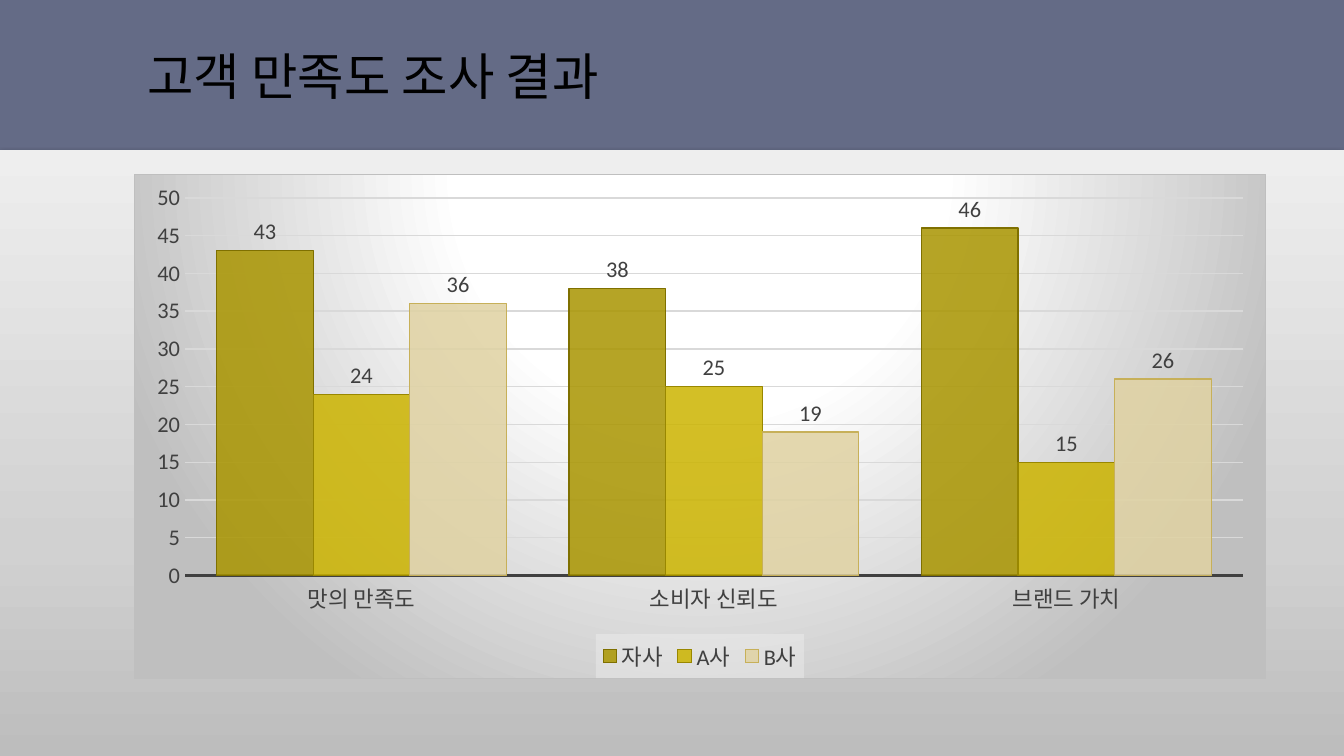
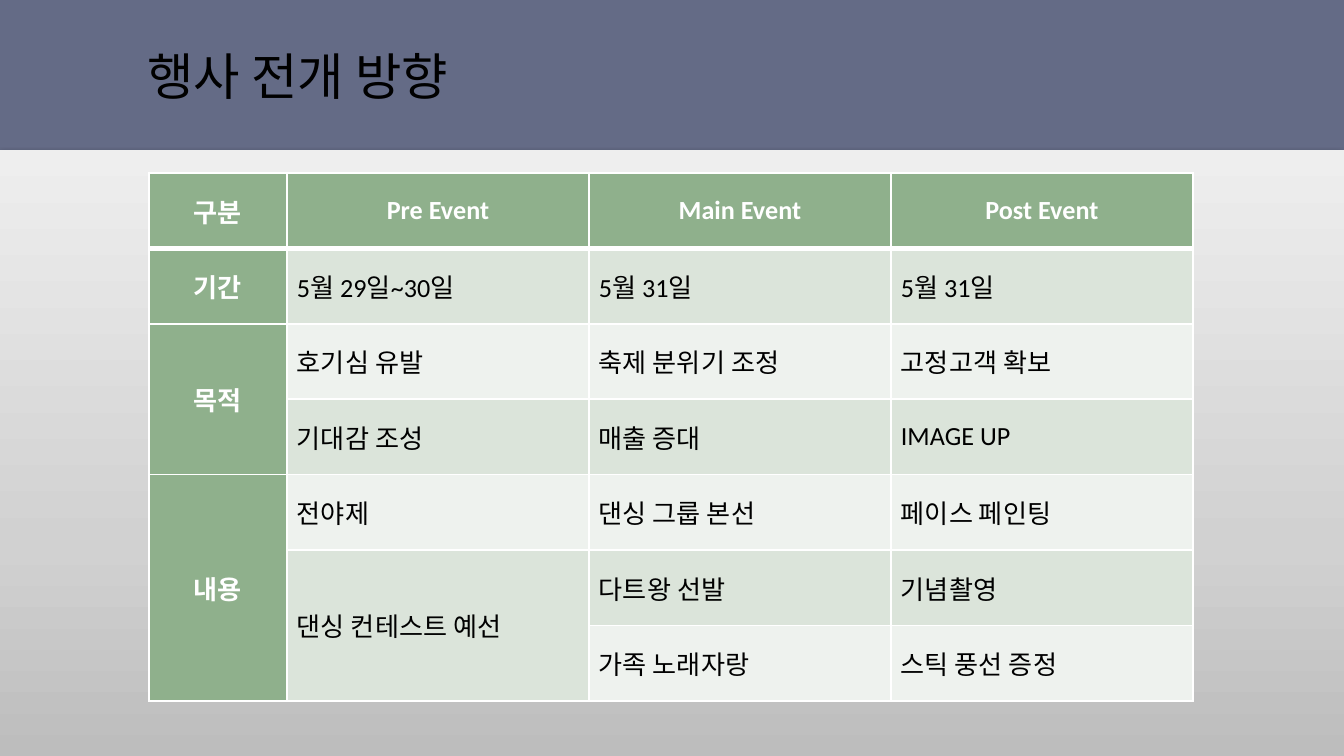
from lxml import etree
from pptx import Presentation
from pptx.chart.data import CategoryChartData
from pptx.dml.color import RGBColor
from pptx.enum.chart import XL_CHART_TYPE, XL_LABEL_POSITION, XL_LEGEND_POSITION, XL_TICK_MARK
from pptx.enum.shapes import MSO_SHAPE
from pptx.enum.text import MSO_ANCHOR, PP_ALIGN
from pptx.oxml import parse_xml
from pptx.oxml.ns import nsdecls, qn
from pptx.util import Pt

COLUMNS = XL_CHART_TYPE.COLUMN_CLUSTERED
OUTSIDE_END = XL_LABEL_POSITION.OUTSIDE_END
LEGEND_BOTTOM = XL_LEGEND_POSITION.BOTTOM
NO_TICK = XL_TICK_MARK.NONE
RECTANGLE = MSO_SHAPE.RECTANGLE
MIDDLE = MSO_ANCHOR.MIDDLE
LEFT, CENTER = PP_ALIGN.LEFT, PP_ALIGN.CENTER

EMU_PER_PX = 914400 / 134.4
SLIDE_WIDTH, SLIDE_HEIGHT = 1344, 756
BAND_HEIGHT = 150
BODY_FONT, TITLE_FONT = "Calibri", "Noto Sans CJK KR"

SLATE = RGBColor(0x64, 0x6B, 0x86)
BLACK = RGBColor(0, 0, 0)
WHITE = RGBColor(0xFF, 0xFF, 0xFF)
CHARCOAL = RGBColor(0x40, 0x40, 0x40)
GRID_GRAY = RGBColor(0xD9, 0xD9, 0xD9)
EDGE_GRAY = RGBColor(0xBF, 0xBF, 0xBF)
LEGEND_GRAY = RGBColor(0xF2, 0xF2, 0xF2)
PANEL_DARK = RGBColor(0xBD, 0xBD, 0xBD)
PANEL_MIDDLE = RGBColor(0xD1, 0xD1, 0xD1)
PANEL_LIGHT = RGBColor(0xEE, 0xEE, 0xEE)
GREEN = RGBColor(0x8F, 0xB0, 0x8C)
GREEN_TINT = RGBColor(0xDB, 0xE4, 0xDA)
GREEN_PALE = RGBColor(0xEE, 0xF2, 0xEE)
OLIVE, OLIVE_EDGE = RGBColor(0xA9, 0x95, 0x00), RGBColor(0x7F, 0x70, 0x00)
GOLD, GOLD_EDGE = RGBColor(0xCC, 0xB4, 0x00), RGBColor(0x99, 0x87, 0x00)
SAND, SAND_EDGE = RGBColor(0xE0, 0xD2, 0xA2), RGBColor(0xC7, 0xB0, 0x59)

CATEGORIES = ["맛의 만족도", "소비자 신뢰도", "브랜드 가치"]
SERIES = [
    ("자사", (43, 38, 46), OLIVE, OLIVE_EDGE),
    ("A사", (24, 25, 15), GOLD, GOLD_EDGE),
    ("B사", (36, 19, 26), SAND, SAND_EDGE),
]
EVENT_ROWS = [
    ["구분", "Pre Event", "Main Event", "Post Event"],
    ["기간", "5월 29일~30일", "5월 31일", "5월 31일"],
    ["목적", "호기심 유발", "축제 분위기 조정", "고정고객 확보"],
    ["", "기대감 조성", "매출 증대", "IMAGE UP"],
    ["내용", "전야제", "댄싱 그룹 본선", "페이스 페인팅"],
    ["", "댄싱 컨테스트 예선", "다트왕 선발", "기념촬영"],
    ["", "", "가족 노래자랑", "스틱 풍선 증정"],
]
EVENT_COLUMNS = [138, 302, 302, 302]
EVENT_MERGES = [((2, 0), (3, 0)), ((4, 0), (6, 0)), ((5, 1), (6, 1))]


def px(length):
    """Turn px into EMU."""
    return round(length * EMU_PER_PX)


def box(*lengths):
    """Turn left, top, width and height in px into EMU."""
    return [px(length) for length in lengths]


def gradient(stops, direction):
    """Make a gradient fill from (percent, colour) stops."""
    marks = "".join(
        f'<a:gs pos="{percent * 1000}"><a:srgbClr val="{color}"/></a:gs>' for percent, color in stops
    )
    return parse_xml(f'<a:gradFill {nsdecls("a")}><a:gsLst>{marks}</a:gsLst>{direction}</a:gradFill>')


def set_opacity(properties, percent):
    """Make the solid fill of shape properties partly transparent."""
    color = properties.find(qn("a:solidFill"))[0]
    etree.SubElement(color, qn("a:alpha")).set("val", str(percent * 1000))


def style_font(font, size, color, name=BODY_FONT, bold=False):
    """Set the look of a font."""
    font.name, font.size, font.bold = name, Pt(size), bold
    font.color.rgb = color


def style_line(line, color, width):
    """Set colour and width of a line."""
    line.color.rgb = color
    line.width = Pt(width)


def add_panel(slide):
    """Add the shaded panel below the title band."""
    panel = slide.shapes.add_shape(RECTANGLE, *box(0, BAND_HEIGHT, SLIDE_WIDTH, SLIDE_HEIGHT - BAND_HEIGHT))
    panel.shadow.inherit = False
    panel.line.fill.background()
    properties = panel._element.spPr
    stops = [(0, PANEL_DARK), (35, PANEL_MIDDLE), (100, PANEL_LIGHT)]
    properties.find(qn("a:prstGeom")).addnext(gradient(stops, '<a:lin ang="16200000" scaled="0"/>'))
    properties.find(qn("a:effectLst")).append(parse_xml(
        f'<a:outerShdw {nsdecls("a")} blurRad="{Pt(3.1)}" dist="{Pt(1.6)}" dir="5400000" rotWithShape="0">'
        f'<a:srgbClr val="{BLACK}"><a:alpha val="38000"/></a:srgbClr></a:outerShdw>'
    ))


def add_title(slide, text):
    """Add the slide title."""
    frame = slide.shapes.add_textbox(*box(134, 16, 1132, 118)).text_frame
    frame.word_wrap = True
    frame.vertical_anchor = MIDDLE
    run = frame.paragraphs[0].add_run()
    run.text = text
    style_font(run.font, 27, BLACK, TITLE_FONT)


def add_base_slide(presentation, title):
    """Add a slide with background, panel and title."""
    slide = presentation.slides.add_slide(presentation.slide_layouts[6])
    slide.background.fill.solid()
    slide.background.fill.fore_color.rgb = SLATE
    add_panel(slide)
    add_title(slide, title)
    return slide


def style_chart_area(chart):
    """Give the chart area its glow and border."""
    stops = [(0, WHITE), (39, WHITE), (100, EDGE_GRAY)]
    direction = '<a:path path="circle"><a:fillToRect l="50000" t="-80000" r="50000" b="180000"/></a:path>'
    area = parse_xml(
        f'<c:spPr {nsdecls("c", "a")}><a:ln w="{Pt(0.75)}"><a:solidFill>'
        f'<a:srgbClr val="{EDGE_GRAY}"/></a:solidFill></a:ln></c:spPr>'
    )
    area.insert(0, gradient(stops, direction))
    chart._chartSpace.find(qn("c:txPr")).addprevious(area)


def style_axes(chart):
    """Style both axes and the gridlines."""
    for axis in (chart.category_axis, chart.value_axis):
        axis.major_tick_mark = axis.minor_tick_mark = NO_TICK
        style_font(axis.tick_labels.font, 12, CHARCOAL)
    style_line(chart.category_axis.format.line, CHARCOAL, 1.5)
    values = chart.value_axis
    values.minimum_scale, values.maximum_scale, values.major_unit = 0, 50, 5
    values.format.line.fill.background()
    style_line(values.major_gridlines.format.line, GRID_GRAY, 0.75)


def style_series(series, color, edge):
    """Colour one series and show its values."""
    series.format.fill.solid()
    series.format.fill.fore_color.rgb = color
    set_opacity(series._element.spPr, 85)
    style_line(series.format.line, edge, 0.75)
    labels = series.data_labels
    labels.show_value = True
    labels.position = OUTSIDE_END
    style_font(labels.font, 12, CHARCOAL)


def style_legend(chart):
    """Put a translucent legend at the bottom."""
    chart.has_legend = True
    legend = chart.legend
    legend.position = LEGEND_BOTTOM
    legend.include_in_layout = False
    style_font(legend.font, 12, CHARCOAL)
    area = parse_xml(
        f'<c:spPr {nsdecls("c", "a")}><a:solidFill><a:srgbClr val="{LEGEND_GRAY}"/></a:solidFill></c:spPr>'
    )
    set_opacity(area, 39)
    legend._element.find(qn("c:txPr")).addprevious(area)


def add_survey_chart(slide):
    """Add the satisfaction column chart."""
    data = CategoryChartData()
    data.categories = CATEGORIES
    for name, values, _, _ in SERIES:
        data.add_series(name, values)
    chart = slide.shapes.add_chart(COLUMNS, *box(134, 174, 1132, 505), data).chart
    chart.has_title = False
    style_font(chart.font, 10, WHITE)
    style_chart_area(chart)
    style_axes(chart)
    style_legend(chart)
    plot = chart.plots[0]
    plot.gap_width, plot.overlap, plot.vary_by_categories = 65, 0, False
    for series, (_, _, color, edge) in zip(plot.series, SERIES):
        style_series(series, color, edge)


def set_borders(cell, bottom_width):
    """Draw white borders around a cell."""
    properties = cell._tc.get_or_add_tcPr()
    for side, width in (("L", 1), ("R", 1), ("T", 1), ("B", bottom_width)):
        properties.append(parse_xml(
            f'<a:ln{side} {nsdecls("a")} w="{Pt(width)}"><a:solidFill>'
            f'<a:srgbClr val="{WHITE}"/></a:solidFill></a:ln{side}>'
        ))


def fill_cell(cell, text, row, column):
    """Write and style one cell by its place in the table."""
    heading = row == 0 or column == 0
    set_borders(cell, 3 if row == 0 else 1)
    cell.fill.solid()
    cell.fill.fore_color.rgb = GREEN if heading else GREEN_TINT if row % 2 else GREEN_PALE
    cell.vertical_anchor = MIDDLE
    cell.margin_left = cell.margin_right = px(10)
    cell.margin_top = cell.margin_bottom = px(5)
    if text:
        paragraph = cell.text_frame.paragraphs[0]
        paragraph.alignment = CENTER if heading else LEFT
        run = paragraph.add_run()
        run.text = text
        style_font(run.font, 14, WHITE if heading else BLACK, bold=heading)


def add_event_table(slide):
    """Add the event plan table."""
    frame = slide.shapes.add_table(
        len(EVENT_ROWS), len(EVENT_COLUMNS), *box(149, 173, sum(EVENT_COLUMNS), 528)
    )
    table = frame.table
    for column, width in zip(table.columns, EVENT_COLUMNS):
        column.width = px(width)
    for row, texts in enumerate(EVENT_ROWS):
        for column, text in enumerate(texts):
            fill_cell(table.cell(row, column), text, row, column)
    for start, end in EVENT_MERGES:
        merged = table.cell(*start)
        merged.merge(table.cell(*end))
        if start[1] == 0:
            merged._tc.tcPr.set("vert", "eaVert")


def main():
    """Build and save the presentation."""
    presentation = Presentation()
    presentation.slide_width, presentation.slide_height = px(SLIDE_WIDTH), px(SLIDE_HEIGHT)
    add_survey_chart(add_base_slide(presentation, "고객 만족도 조사 결과"))
    add_event_table(add_base_slide(presentation, "행사 전개 방향"))
    presentation.save("out.pptx")


if __name__ == "__main__":
    main()
